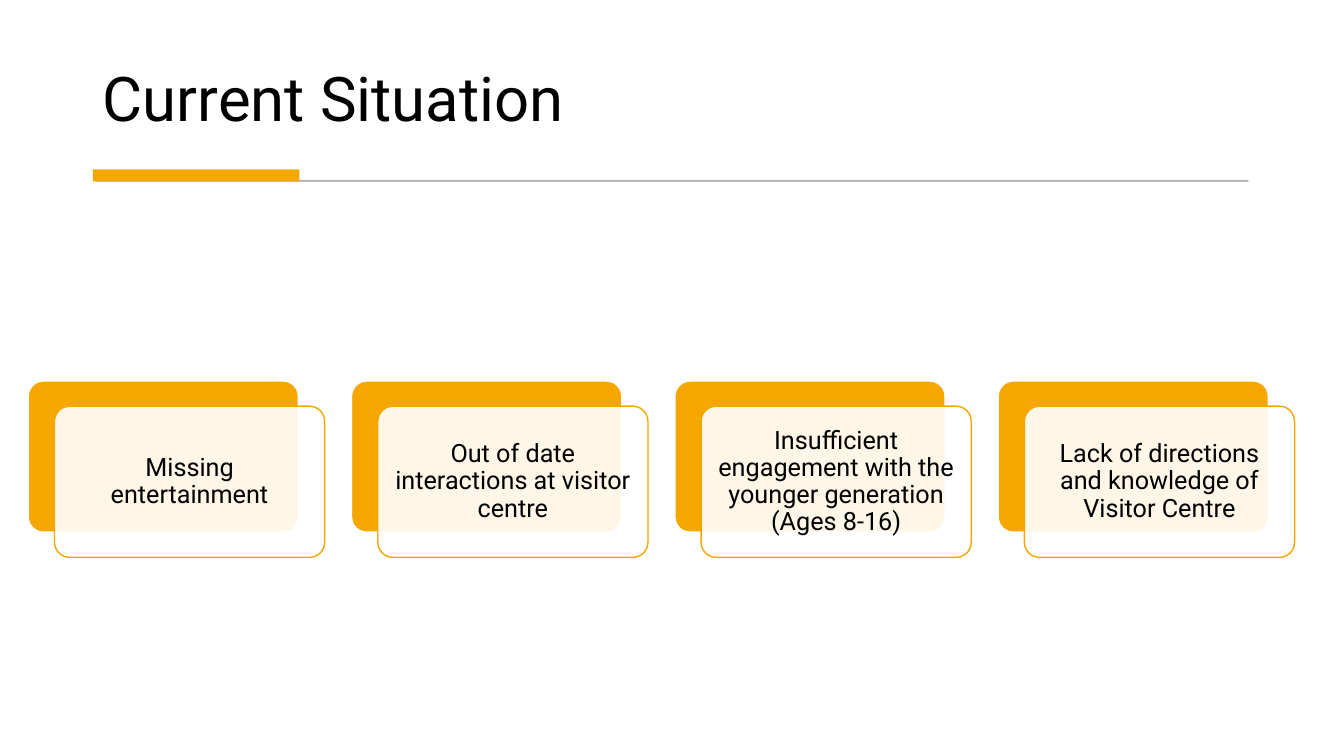
"""Build the Current Situation slide with four layered issue cards."""
from dataclasses import dataclass

from lxml.etree import SubElement
from pptx import Presentation
from pptx.dml.color import RGBColor
from pptx.enum.shapes import MSO_SHAPE
from pptx.enum.text import MSO_ANCHOR, PP_ALIGN
from pptx.oxml.ns import qn
from pptx.shapes.autoshape import Shape
from pptx.slide import Slide
from pptx.text.text import TextFrame
from pptx.util import Inches, Pt


@dataclass(frozen=True)
class Theme:
    font: str = "Roboto"
    title_size: float = 44
    card_size: float = 18
    text: str = "000000"
    accent: str = "F5A700"
    paper: str = "FFFFFF"
    rule: str = "595959"


@dataclass(frozen=True)
class Box:
    left: float
    top: float
    width: float
    height: float


@dataclass(frozen=True)
class Paint:
    fill: str
    line: str | None = None
    line_width: float = 1
    fill_alpha: int = 100
    line_alpha: int = 100


THEME = Theme()
ISSUES = (
    "Missing entertainment",
    "Out of date interactions at visitor centre",
    "Insufficient engagement with the younger generation (Ages 8-16)",
    "Lack of directions and knowledge of Visitor Centre",
)
ROW_LEFT, ROW_RIGHT, ROW_TOP = 0.28, 12.84, 3.78
CARD_WIDTH, CARD_HEIGHT = 2.68, 1.5
SHIFT_X, SHIFT_Y = 0.26, 0.25
PITCH = (ROW_RIGHT - ROW_LEFT - CARD_WIDTH - SHIFT_X) / (len(ISSUES) - 1)


def place(shape: Shape, box: Box) -> None:
    shape.left, shape.top = Inches(box.left), Inches(box.top)
    shape.width, shape.height = Inches(box.width), Inches(box.height)


def set_alpha(shape: Shape, owner: str, percent: int) -> None:
    if percent < 100:
        color = shape.element.spPr.find(f"{owner}{qn('a:solidFill')}/{qn('a:srgbClr')}")
        SubElement(color, qn("a:alpha")).set("val", str(percent * 1000))


def add_panel(shapes, kind: MSO_SHAPE, box: Box, paint: Paint) -> Shape:
    panel = shapes.add_shape(kind, 0, 0, 0, 0)
    place(panel, box)
    panel.shadow.inherit = False
    panel.fill.solid()
    panel.fill.fore_color.rgb = RGBColor.from_string(paint.fill)
    set_alpha(panel, "", paint.fill_alpha)
    if paint.line is None:
        panel.line.fill.background()
    else:
        panel.line.color.rgb = RGBColor.from_string(paint.line)
        panel.line.width = Pt(paint.line_width)
        set_alpha(panel, f"{qn('a:ln')}/", paint.line_alpha)
    return panel


def write(frame: TextFrame, words: str, size: float, align: PP_ALIGN, anchor: MSO_ANCHOR) -> None:
    frame.text = words
    frame.word_wrap = True
    frame.vertical_anchor = anchor
    paragraph = frame.paragraphs[0]
    paragraph.alignment = align
    paragraph.line_spacing = 0.9
    for run in paragraph.runs:
        run.font.name = THEME.font
        run.font.size = Pt(size)
        run.font.color.rgb = RGBColor.from_string(THEME.text)


def add_heading(slide: Slide) -> None:
    heading = slide.shapes.title
    place(heading, Box(0.92, 0.28, 11.49, 1.11))
    write(heading.text_frame, "Current Situation", THEME.title_size,
          PP_ALIGN.LEFT, MSO_ANCHOR.BOTTOM)
    add_panel(slide.shapes, MSO_SHAPE.RECTANGLE, Box(0.95, 1.79, 11.43, 0.01),
              Paint(THEME.rule, THEME.rule, 0.75, 30, 30))
    add_panel(slide.shapes, MSO_SHAPE.RECTANGLE, Box(0.92, 1.68, 2.05, 0.12),
              Paint(THEME.accent))


def add_card(shapes, left: float, issue: str) -> None:
    back = add_panel(shapes, MSO_SHAPE.ROUNDED_RECTANGLE,
                     Box(left, ROW_TOP, CARD_WIDTH, CARD_HEIGHT),
                     Paint(THEME.accent, THEME.paper))
    front = add_panel(shapes, MSO_SHAPE.ROUNDED_RECTANGLE,
                      Box(left + SHIFT_X, ROW_TOP + SHIFT_Y, CARD_WIDTH, CARD_HEIGHT),
                      Paint(THEME.paper, THEME.accent, fill_alpha=90))
    back.adjustments[0] = front.adjustments[0] = 0.1
    frame = front.text_frame
    frame.margin_left = frame.margin_right = Inches(0.07)
    frame.margin_top = frame.margin_bottom = Inches(0.07)
    write(frame, issue, THEME.card_size, PP_ALIGN.CENTER, MSO_ANCHOR.MIDDLE)


def main() -> None:
    deck = Presentation()
    deck.slide_width, deck.slide_height = Inches(13.33), Inches(7.5)
    slide = deck.slides.add_slide(deck.slide_layouts[5])
    add_heading(slide)
    cards = slide.shapes.add_group_shape()
    for position, issue in enumerate(ISSUES):
        add_card(cards.shapes, ROW_LEFT + position * PITCH, issue)
    deck.save("out.pptx")


if __name__ == "__main__":
    main()
